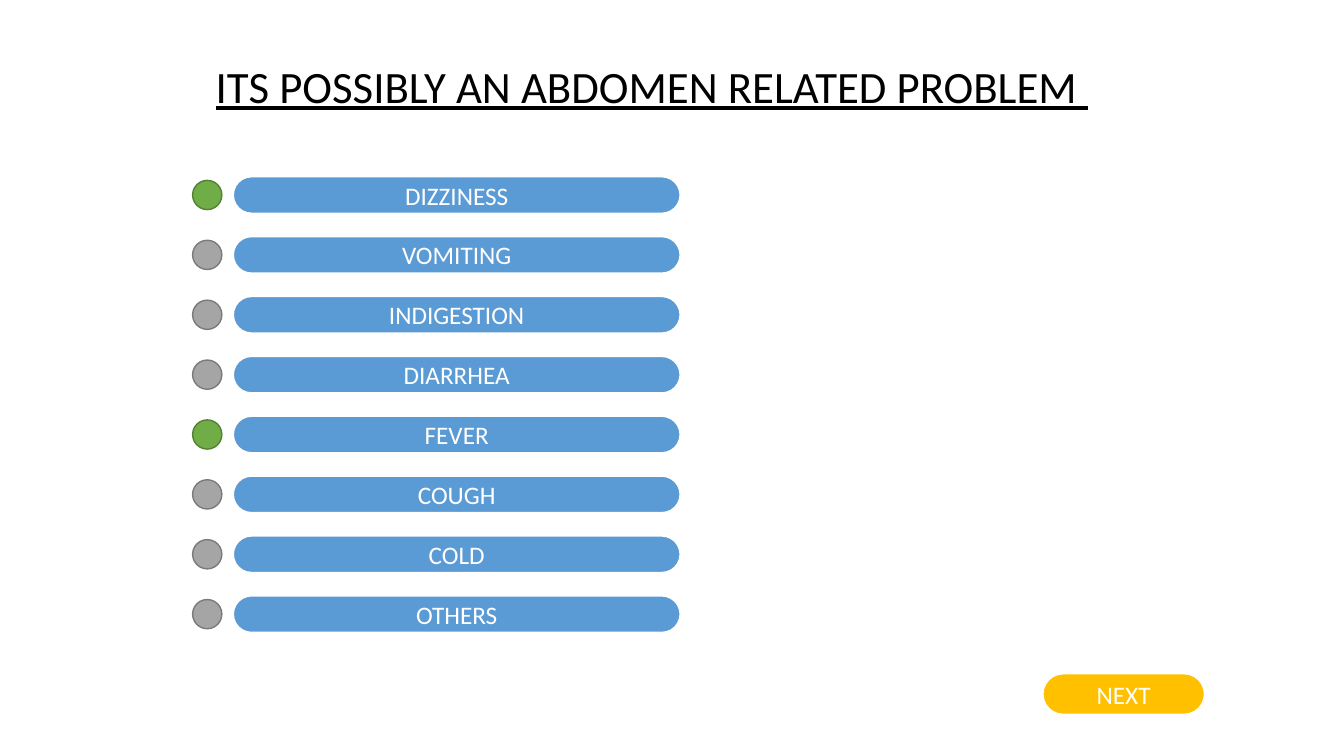
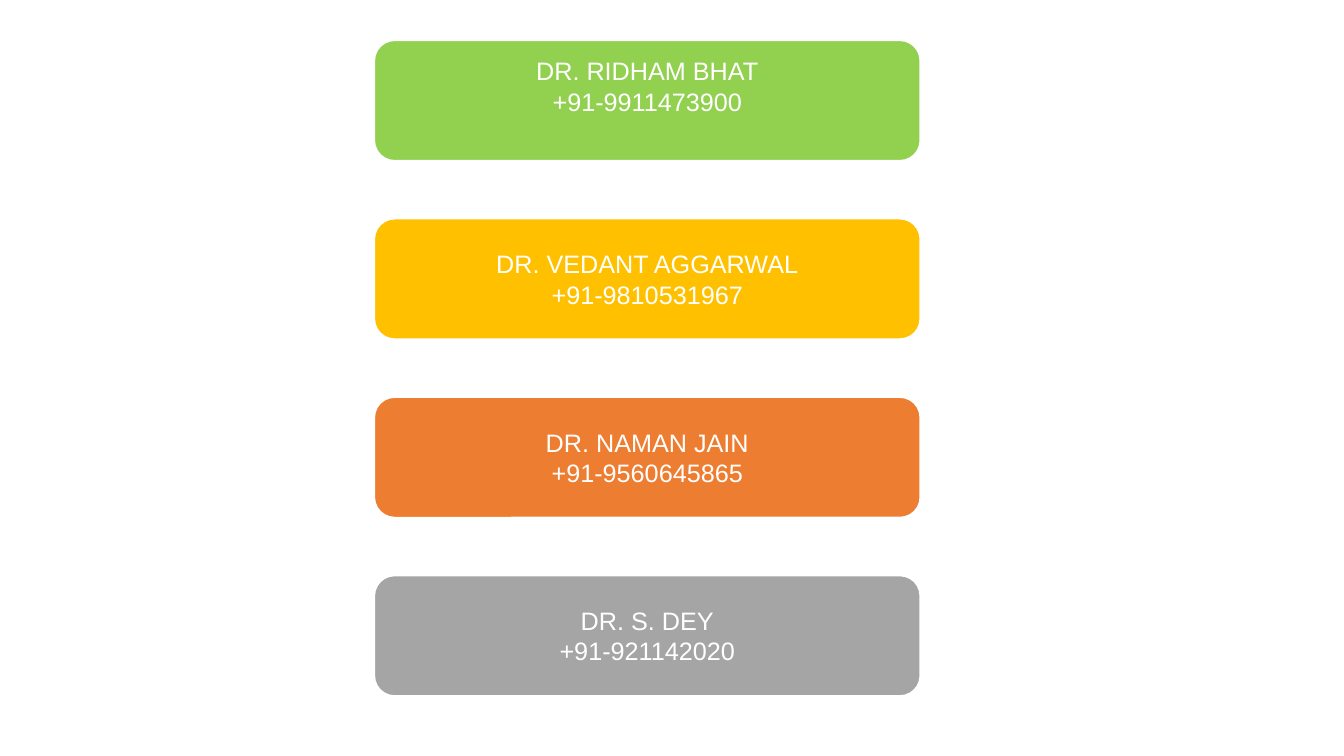
from pptx import Presentation
from pptx.dml.color import RGBColor
from pptx.enum.shapes import MSO_SHAPE
from pptx.enum.text import MSO_ANCHOR, MSO_AUTO_SIZE, PP_ALIGN
from pptx.util import Inches, Pt

OVAL = MSO_SHAPE.OVAL
ROUND = MSO_SHAPE.ROUNDED_RECTANGLE
TOP, MIDDLE = MSO_ANCHOR.TOP, MSO_ANCHOR.MIDDLE
LEFT, CENTER = PP_ALIGN.LEFT, PP_ALIGN.CENTER
FIXED = MSO_AUTO_SIZE.NONE

WIDE, HIGH = Inches(13.33), Inches(7.5)
TITLE_ONLY, BLANK = 5, 6

HUES = {
    "black": "000000", "white": "FFFFFF", "blue": "5B9BD5",
    "gold": "FFC000", "lime": "92D050", "orange": "ED7D31",
    "gray": "A5A5A5", "slate": "7A7A7A", "green": "70AD47", "moss": "538035",
}
HEAD = {"name": "Calibri", "size": Pt(32), "underline": True}
LABEL = {"name": "Calibri", "size": Pt(18)}
CONTACT = {"name": "Arial", "size": Pt(18)}

SIGNS = [
    ("DIZZINESS", True), ("VOMITING", False), ("INDIGESTION", False),
    ("DIARRHEA", False), ("FEVER", True), ("COUGH", False),
    ("COLD", False), ("OTHERS", False),
]
DOCTORS = [
    ("DR. RIDHAM BHAT", "+91-9911473900", "lime", 0.34),
    ("DR. VEDANT AGGARWAL", "+91-9810531967", "gold", 0.05),
    ("DR. NAMAN JAIN", "+91-9560645865", "orange", 0.05),
    ("DR. S. DEY", "+91-921142020", "gray", 0.05),
]


def hue(name):
    return RGBColor.from_string(HUES[name])


def area(x, y, w, h):
    return [round(side * part / 100)
            for side, part in zip((WIDE, HIGH, WIDE, HIGH), (x, y, w, h))]


def write(frame, lines, style, color, align):
    frame.word_wrap = True
    frame.text = "\n".join(lines)
    for para in frame.paragraphs:
        para.alignment = align
        font = para.runs[0].font
        for key, value in style.items():
            setattr(font, key, value)
        font.color.rgb = hue(color)


def title(slide, text, box):
    head = slide.shapes.title
    for key, value in zip(("left", "top", "width", "height"), area(*box)):
        setattr(head, key, value)
    frame = head.text_frame
    frame.auto_size = FIXED
    frame.vertical_anchor = TOP
    write(frame, [text], HEAD, "black", LEFT)


def shape(slide, kind, box, fill, edge, weight):
    item = slide.shapes.add_shape(kind, *area(*box))
    item.shadow.inherit = False
    item.fill.solid()
    item.fill.fore_color.rgb = hue(fill)
    item.line.color.rgb = hue(edge)
    item.line.width = Pt(weight)
    return item


def panel(slide, box, fill, lines, style, curve, foot=0.05):
    item = shape(slide, ROUND, box, fill, "white", 1.5)
    item.adjustments[0] = curve
    frame = item.text_frame
    frame.vertical_anchor = MIDDLE
    frame.margin_bottom = Inches(foot)
    write(frame, lines, style, "white", CENTER)


def pill(slide, box, fill, text):
    panel(slide, box, fill, [text], LABEL, 0.5)


def lamp(slide, box, lit):
    fill, edge = ("green", "moss") if lit else ("gray", "slate")
    shape(slide, OVAL, box, fill, edge, 1)


def symptoms(slide):
    title(slide, "ITS POSSIBLY AN ABDOMEN RELATED PROBLEM ",
          (15.3, 7.07, 75.4, 8.53))
    first, step, tall, dot = 23.33, 7.92, 4.93, 3.87
    for row, (name, lit) in enumerate(SIGNS):
        y = first + row * step
        lamp(slide, (14.33, y + (tall - dot) / 2, dot * HIGH / WIDE, dot), lit)
        pill(slide, (17.33, y, 33.3, tall), "blue", name)
    pill(slide, (77.57, 89.07, 12.08, 5.47), "gold", "NEXT")


def contacts(slide):
    first, step = 5.3, 23.6
    for row, (name, phone, fill, foot) in enumerate(DOCTORS):
        panel(slide, (27.83, first + row * step, 40.66, 16), fill,
              [name, phone], CONTACT, 0.17, foot)


def main():
    deck = Presentation()
    deck.slide_width, deck.slide_height = WIDE, HIGH
    for layout, build in ((TITLE_ONLY, symptoms), (BLANK, contacts)):
        build(deck.slides.add_slide(deck.slide_layouts[layout]))
    deck.save("out.pptx")


if __name__ == "__main__":
    main()
